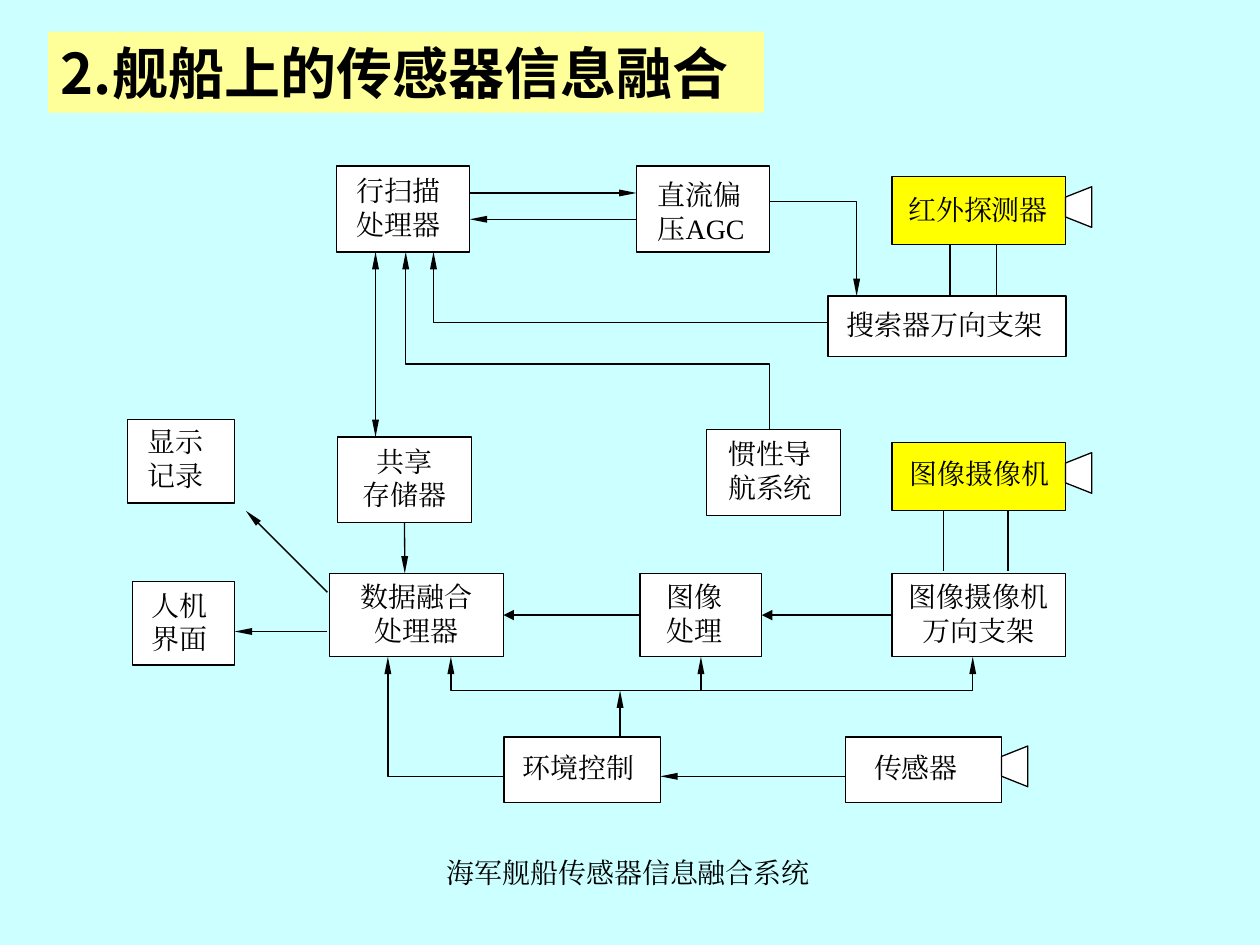
from lxml import etree
from pptx import Presentation
from pptx.dml.color import RGBColor
from pptx.enum.shapes import MSO_CONNECTOR, MSO_SHAPE
from pptx.enum.text import MSO_ANCHOR, MSO_AUTO_SIZE, PP_ALIGN
from pptx.oxml.ns import qn
from pptx.util import Cm, Pt

STRAIGHT = MSO_CONNECTOR.STRAIGHT
RECT = MSO_SHAPE.RECTANGLE
TOP, MIDDLE = MSO_ANCHOR.TOP, MSO_ANCHOR.MIDDLE
LEFT, CENTER = PP_ALIGN.LEFT, PP_ALIGN.CENTER
NO_FIT = MSO_AUTO_SIZE.NONE
COLORS = {"back": "CCFFFF", "title": "FFFF99", "ink": "000000",
          "plain": "FFFFFF", "sensor": "FFFF00"}
SERIF, SANS = "Times New Roman", "Noto Sans CJK JP"
THIN = {"w": "sm", "len": "lg"}
MEDIUM = {"w": "med", "len": "med"}

# key: text, left, top, width, height, text indent (None = centred), text drop
BOXES = {
    "scan": ("行扫描\n处理器", 6.78, 3.35, 2.69, 1.73, 0.41, 0.15),
    "bias": ("直流偏\n压AGC", 12.83, 3.35, 2.69, 1.73, 0.43, 0.23),
    "infra": ("红外探测器", 17.98, 3.56, 3.5, 1.37, 0.33, 0.33),
    "seeker": ("搜索器万向支架", 16.69, 5.97, 4.8, 1.22, 0.38, 0.23),
    "nav": ("惯性导\n航系统", 14.25, 8.66, 2.69, 1.73, 0.43, 0.15),
    "camera": ("图像摄像机", 17.98, 8.92, 3.5, 1.37, 0.36, 0.28),
    "mount": ("图像摄像机万向支架", 17.98, 11.56, 3.5, 1.68, None, 0.13),
    "image": ("图像\n处理", 12.9, 11.56, 2.46, 1.68, 0.53, 0.13),
    "store": ("共享\n存储器", 6.81, 8.81, 2.69, 1.73, None, 0.15),
    "fusion": ("数据融合\n处理器", 6.65, 11.56, 3.5, 1.68, None, 0.13),
    "control": ("环境控制", 10.16, 14.86, 3.15, 1.32, 0.38, 0.28),
    "display": ("显示\n记录", 2.57, 8.46, 2.16, 1.68, 0.41, 0.1),
    "human": ("人机\n界面", 2.67, 11.73, 2.06, 1.68, 0.38, 0.13),
    "probe": ("传感器", 17.04, 14.86, 3.15, 1.32, 0.58, 0.28),
}
SENSORS = ("infra", "camera", "probe")
YELLOW = ("infra", "camera")

# start x, start y, end x, end y, ends with a head
LINKS = [
    (9.47, 3.89, 12.83, 3.89, ("tail",)),
    (12.83, 4.42, 9.47, 4.42, ("tail",)),
    (7.57, 5.08, 7.57, 8.81, ("head", "tail")),
    (6.6, 11.94, 4.96, 10.3, ("tail",)),
    (6.6, 12.73, 4.73, 12.73, ("tail",)),
    (12.5, 14.86, 12.5, 13.92, ("tail",)),
    (17.04, 15.65, 13.31, 15.65, ("tail",)),
    (19.15, 4.93, 19.15, 5.97, ()),
    (20.09, 4.93, 20.09, 5.97, ()),
    (19.02, 10.29, 19.02, 11.51, ()),
    (20.32, 10.29, 20.32, 11.51, ()),
]
ROUTES = [
    ([(16.69, 6.5), (8.74, 6.5), (8.74, 5.08)], ("tail",)),
    ([(15.52, 8.66), (15.52, 7.34), (8.18, 7.34), (8.18, 5.08)], ("tail",)),
    ([(15.52, 4.06), (17.27, 4.06), (17.27, 5.97)], ("tail",)),
    ([(10.16, 15.65), (7.82, 15.65), (7.82, 13.24)], ("tail",)),
    ([(9.09, 13.24), (9.09, 13.92), (19.61, 13.92), (19.61, 13.24)],
     ("head", "tail")),
]


def color(name):
    return RGBColor.from_string(COLORS[name])


def paint(shape, fill):
    shape.shadow.inherit = False
    shape.fill.solid()
    shape.fill.fore_color.rgb = color(fill)


def ink(shape, ends=(), size=THIN):
    """Draw a thin black line with heads at the named ends."""
    shape.line.color.rgb = color("ink")
    shape.line.width = Pt(0.75)
    for end in ends:
        etree.SubElement(shape.line._get_or_add_ln(), qn(f"a:{end}End"),
                         type="triangle", **size)


def write(frame, text, align=LEFT, face=SERIF, size=16, bold=False):
    frame.text = text
    for para in frame.paragraphs:
        para.alignment = align
        font = para.font
        font.name, font.size, font.bold = face, Pt(size), bold
        font.color.rgb = color("ink")
        props = para._p.pPr.find(qn("a:defRPr"))
        etree.SubElement(props, qn("a:ea"), typeface=face)


def add_title(slide):
    title = slide.shapes.title
    title.left, title.top = Cm(0.97), Cm(0.64)
    title.width, title.height = Cm(14.43), Cm(1.63)
    title.fill.solid()
    title.fill.fore_color.rgb = color("title")
    frame = title.text_frame
    frame.auto_size, frame.word_wrap = NO_FIT, False
    frame.vertical_anchor = MIDDLE
    write(frame, "2.舰船上的传感器信息融合", face=SANS, size=32, bold=True)


def add_box(slide, fill, text, x, y, w, h, indent, drop):
    box = slide.shapes.add_shape(RECT, Cm(x), Cm(y), Cm(w), Cm(h))
    paint(box, fill)
    ink(box)
    frame = box.text_frame
    frame.word_wrap, frame.vertical_anchor = True, TOP
    frame.margin_top, frame.margin_bottom = Cm(drop), 0
    if indent is None:
        frame.margin_left = frame.margin_right = Cm(0.25)
    else:
        frame.margin_left, frame.margin_right = Cm(indent), 0
    write(frame, text, CENTER if indent is None else LEFT)
    return box


def add_path(slide, points, close=False):
    start, *rest = [(Cm(x), Cm(y)) for x, y in points]
    pen = slide.shapes.build_freeform(*start)
    pen.add_line_segments(rest, close=close)
    return pen.convert_to_shape()


def add_horn(slide, x, y):
    """Add a lens opening to the right, with its narrow side centred at x, y."""
    far = x + 0.53
    horn = add_path(slide, [(far, y - 0.41), (x, y - 0.2),
                            (x, y + 0.2), (far, y + 0.41)], close=True)
    paint(horn, "plain")
    ink(horn)


def add_route(slide, points, ends):
    route = add_path(slide, points)
    route.shadow.inherit = False
    route.fill.background()
    ink(route, ends)


def add_link(slide, x1, y1, x2, y2, ends, size=THIN):
    link = slide.shapes.add_connector(STRAIGHT, Cm(x1), Cm(y1), Cm(x2), Cm(y2))
    ink(link, ends, size)
    etree.SubElement(link._element.spPr, qn("a:effectLst"))
    return link


def add_caption(slide):
    box = slide.shapes.add_textbox(Cm(8.76), Cm(17.12), Cm(8.5), Cm(1.22))
    box.text_frame.word_wrap = True
    write(box.text_frame, "海军舰船传感器信息融合系统")


def main():
    deck = Presentation()
    deck.slide_width, deck.slide_height = Cm(25.4), Cm(19.05)
    slide = deck.slides.add_slide(deck.slide_layouts[5])
    slide.background.fill.solid()
    slide.background.fill.fore_color.rgb = color("back")
    add_title(slide)

    boxes = {}
    for key, spec in BOXES.items():
        fill = "sensor" if key in YELLOW else "plain"
        boxes[key] = add_box(slide, fill, *spec)
    for key in SENSORS:
        x, y, w, h = BOXES[key][1:5]
        add_horn(slide, x + w, y + h / 2 - 0.07)

    for points, ends in ROUTES:
        add_route(slide, points, ends)
    for spec in LINKS:
        add_link(slide, *spec)
    for start, end in (("mount", "image"), ("image", "fusion")):
        link = add_link(slide, 0, 0, 1, 1, ("tail",), MEDIUM)
        link.begin_connect(boxes[start], 1)
        link.end_connect(boxes[end], 3)
    down = add_link(slide, 8.16, 10.54, 8.16, 11.56, ("tail",))
    down.begin_connect(boxes["store"], 2)
    up = add_link(slide, 14.13, 13.92, 14.13, 13.24, ("tail",))
    up.end_connect(boxes["image"], 2)

    add_caption(slide)
    deck.save("out.pptx")


if __name__ == "__main__":
    main()
